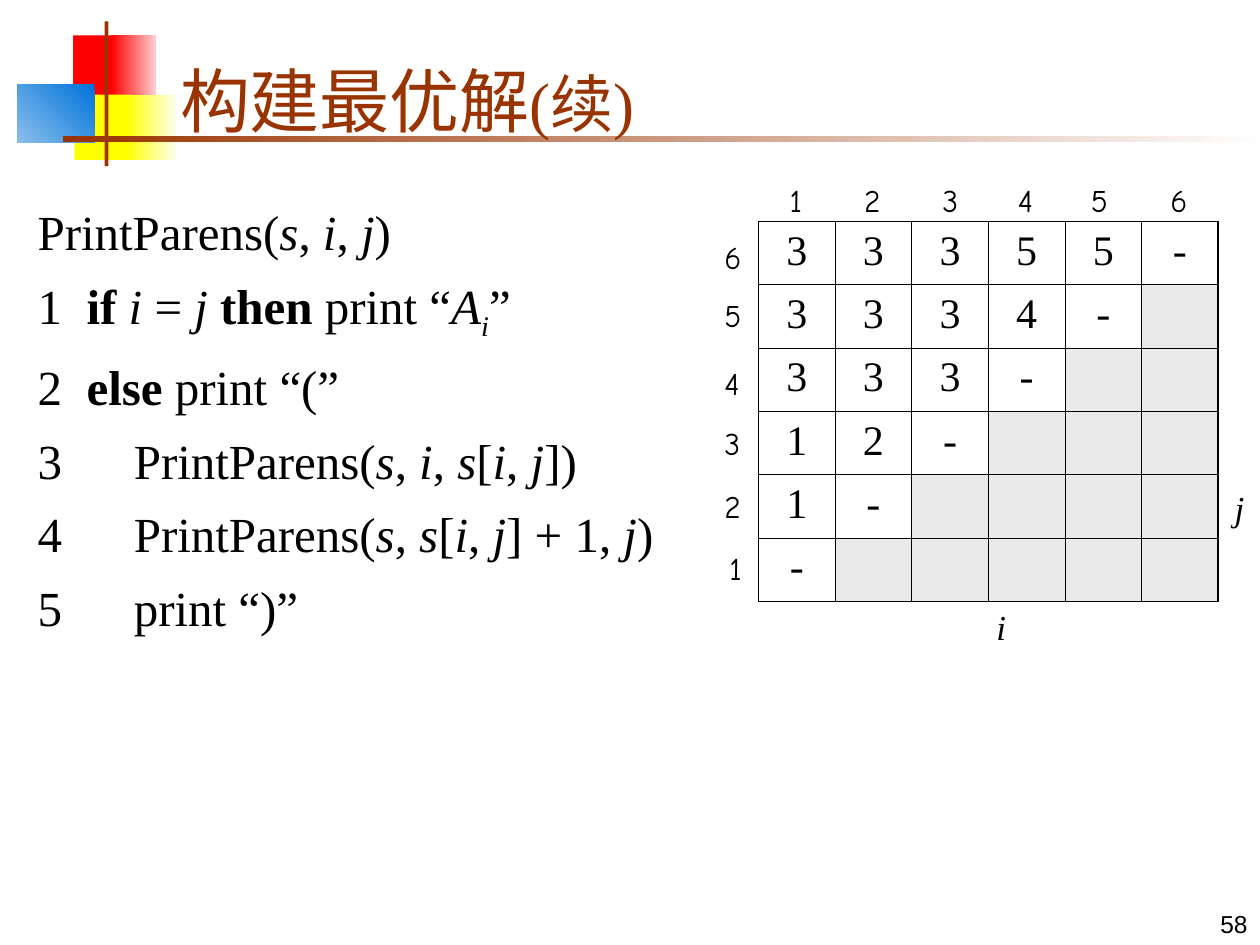
from lxml import etree
from pptx import Presentation
from pptx import util as u
from pptx.dml.color import RGBColor
from pptx.enum import shapes, text
from pptx.oxml.ns import qn

THEME = {
    "serif": "Times New Roman", "hand": "Comic Neue", "sans": "Arial",
    "ink": "000000", "accent": "993300", "unused_cell": "EAEAEA",
    "title": 40, "title_note": 36, "code": 28, "cell": 24,
    "axis": 20, "index": 18, "page": 14,
    "outer_border": 1.08, "inner_border": 0.45,
}

# left, top, width, height, colours (two make a gradient), clockwise angle
DECORATION = [
    (41.8, 20.2, 25.2, 37.4, ["FF0000"], 0),
    (63.4, 20.2, 25.9, 37.4, ["FED0D0", "FF0000"], 180),
    (42.5, 54, 33.1, 37.4, ["FFFF00"], 0),
    (72, 54, 28.8, 37.4, ["FEFEEF", "FFFF00"], 180),
    (10.1, 48.2, 43.9, 33.1, ["0073D9", "8ABEEC"], 135),
    (59.8, 12.2, 2.2, 82.8, ["993300"], 0),
    (36, 77.8, 684, 3.6, ["FEFEFE", "993300"], 180),
]

TITLE = [("构建最优解", ""), ("(续)", "note")]

# hanging indent, then (text, style) runs
CODE = [
    (0, [("PrintParens(", ""), ("s", "i"), (", ", ""), ("i", "i"), (", ", ""),
         ("j", "i"), (")", "")]),
    (28, [("1\t", ""), ("if ", "b"), ("i", "i"), (" = ", ""), ("j", "i"),
          (" then ", "b"), ("print “", ""), ("A", "i"), ("i", "i sub"), ("”", "")]),
    (28, [("2\t", ""), ("else", "b"), (" print “(”", "")]),
    (55, [("3\tPrintParens(", ""), ("s", "i"), (", ", ""), ("i", "i"), (", ", ""),
          ("s", "i"), ("[", ""), ("i", "i"), (",", ""), (" j", "i"), ("])", "")]),
    (55, [("4\tPrintParens(", ""), ("s", "i"), (", ", ""), ("s", "i"), ("[", ""),
          ("i", "i"), (", ", ""), ("j", "i"), ("] + 1, ", ""), ("j", "i"), (")", "")]),
    (55, [("5\tprint “)”", "")]),
]

SPLITS = ["33355-", "3334-", "333-", "12-", "1-", "-"]
TABLE_LEFT, TABLE_TOP, COLUMN_WIDTH, ROW_HEIGHT = 433.4, 126.5, 43.8, 36.2

COLUMN_LABELS = list(zip("123456", [444.2, 486.7, 531.4, 574.6, 616.3, 661.7]))
COLUMN_LABEL_TOP = 100.1
ROW_LABELS = list(zip("654321", [132.5, 165.6, 204.5, 239, 275, 310.3]))
ROW_LABEL_LEFT = 406.8
AXIS_NAMES = [("i", 562.3, 342.7), ("j", 698.4, 274.3)]


def format_run(run, size, font="serif", color="ink", style=""):
    run.font.size = u.Pt(THEME[size])
    run.font.name = THEME[font]
    run.font.color.rgb = RGBColor.from_string(THEME[color])
    styles = style.split()
    run.font.italic = "i" in styles
    run.font.bold = "b" in styles
    if "sub" in styles:
        run._r.get_or_add_rPr().set("baseline", "-25000")


def add_text_frame(slide, left, top, width, height, wrap=True,
                   anchor=text.MSO_ANCHOR.TOP):
    box = slide.shapes.add_textbox(*map(u.Pt, (left, top, width, height)))
    box.text_frame.word_wrap = wrap
    box.text_frame.vertical_anchor = anchor
    return box.text_frame


def add_label(slide, label, left, top, width, height, size, font, style=""):
    frame = add_text_frame(slide, left, top, width, height, wrap=False)
    frame.text = label
    format_run(frame.paragraphs[0].runs[0], size, font, style=style)


def add_decoration(slide):
    for left, top, width, height, colors, angle in DECORATION:
        block = slide.shapes.add_shape(
            shapes.MSO_SHAPE.RECTANGLE, *map(u.Pt, (left, top, width, height)))
        block.shadow.inherit = False
        block.line.fill.background()
        if len(colors) == 1:
            block.fill.solid()
            block.fill.fore_color.rgb = RGBColor.from_string(colors[0])
        else:
            block.fill.gradient()
            block.fill.gradient_angle = 360 - angle
            for stop, color in zip(block.fill.gradient_stops, colors):
                stop.color.rgb = RGBColor.from_string(color)


def add_title(slide):
    frame = add_text_frame(slide, 95.8, 18, 613.4, 66.2,
                           anchor=text.MSO_ANCHOR.BOTTOM)
    for part, style in TITLE:
        run = frame.paragraphs[0].add_run()
        run.text = part
        format_run(run, "title_note" if style == "note" else "title", color="accent")


def add_code(slide):
    frame = add_text_frame(slide, 14.4, 111.6, 538.6, 402.5)
    for number, (indent, runs) in enumerate(CODE):
        paragraph = frame.add_paragraph() if number else frame.paragraphs[0]
        paragraph.space_before = u.Pt(8.4)
        properties = paragraph._p.get_or_add_pPr()
        properties.set("marL", str(u.Pt(indent)))
        properties.set("indent", str(-u.Pt(indent)))
        for part, style in runs:
            run = paragraph.add_run()
            run.text = part
            format_run(run, "code", style=style)


def set_borders(cell, outer_sides):
    properties = cell._tc.get_or_add_tcPr()
    for side in "LRTB":
        width = THEME["outer_border" if side in outer_sides else "inner_border"]
        line = etree.SubElement(properties, qn(f"a:ln{side}"), w=str(u.Pt(width)))
        fill = etree.SubElement(line, qn("a:solidFill"))
        etree.SubElement(fill, qn("a:srgbClr"), val=THEME["ink"])


def add_split_table(slide):
    count = len(SPLITS)
    last = count - 1
    frame = slide.shapes.add_table(
        count, count, u.Pt(TABLE_LEFT), u.Pt(TABLE_TOP),
        u.Pt(COLUMN_WIDTH * count), u.Pt(ROW_HEIGHT * count))
    table = frame.table
    table.first_row = table.horz_banding = False
    for row, values in enumerate(SPLITS):
        table.rows[row].height = u.Pt(ROW_HEIGHT)
        for column in range(count):
            cell = table.cell(row, column)
            edges = {"L": column == 0, "R": column == last,
                     "T": row == 0, "B": row == last}
            set_borders(cell, [side for side, outer in edges.items() if outer])
            if column < len(values):
                cell.fill.background()
                cell.text_frame.text = values[column]
                paragraph = cell.text_frame.paragraphs[0]
                paragraph.alignment = text.PP_ALIGN.CENTER
                paragraph.space_before = u.Pt(6)
                format_run(paragraph.runs[0], "cell")
            else:
                cell.fill.solid()
                cell.fill.fore_color.rgb = RGBColor.from_string(THEME["unused_cell"])


def add_table_labels(slide):
    places = [(label, left, COLUMN_LABEL_TOP) for label, left in COLUMN_LABELS]
    places += [(label, ROW_LABEL_LEFT + (2.9 if label == "1" else 0), top)
               for label, top in ROW_LABELS]
    for label, left, top in places:
        width = 21.6 if label == "1" else 23.6
        add_label(slide, label, left, top, width, 28.8, "index", "hand")
    for label, left, top in AXIS_NAMES:
        add_label(slide, label, left, top, 19.4, 31.7, "axis", "serif", "i")


def add_page_number(slide):
    frame = add_text_frame(slide, 570.2, 504, 149.8, 36,
                           anchor=text.MSO_ANCHOR.BOTTOM)
    frame.text = "58"
    frame.paragraphs[0].alignment = text.PP_ALIGN.RIGHT
    format_run(frame.paragraphs[0].runs[0], "page", "sans")


def main():
    presentation = Presentation()
    presentation.slide_width, presentation.slide_height = u.Pt(720), u.Pt(540)
    slide = presentation.slides.add_slide(presentation.slide_layouts[6])
    add_decoration(slide)
    add_title(slide)
    add_split_table(slide)
    add_table_labels(slide)
    add_code(slide)
    add_page_number(slide)
    presentation.save("out.pptx")


if __name__ == "__main__":
    main()
